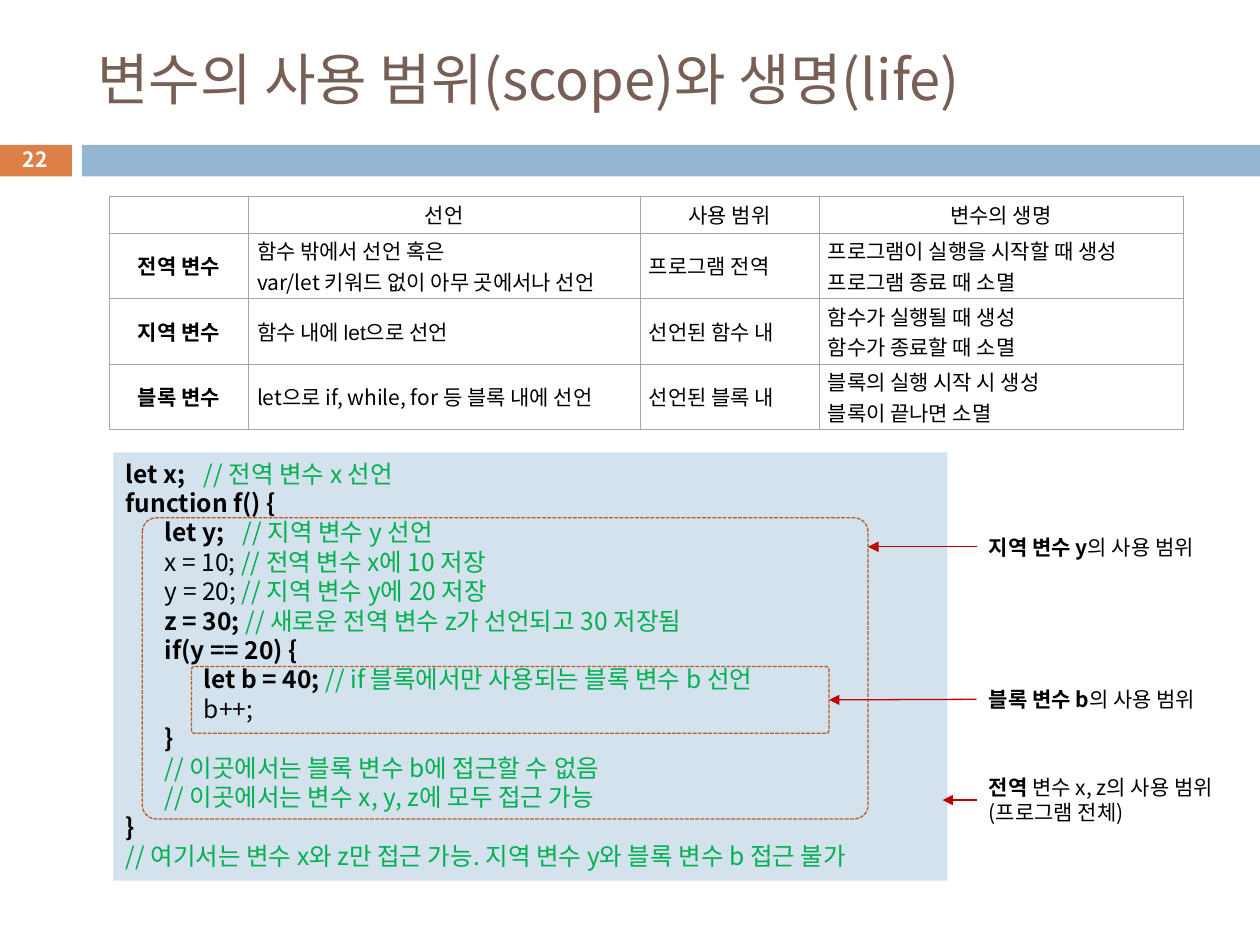
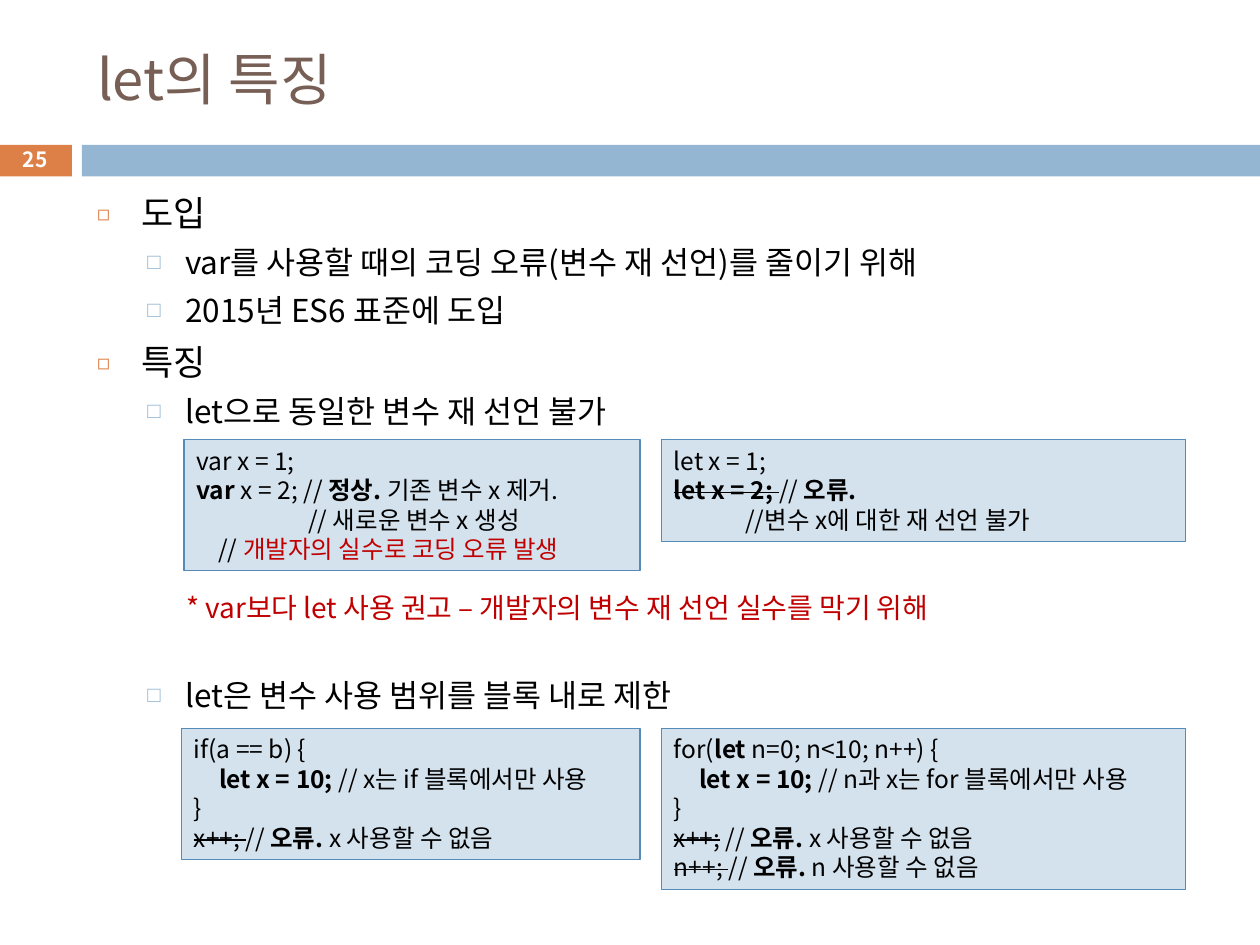
from dataclasses import dataclass
from typing import NamedTuple, Optional

from lxml import etree
from pptx import Presentation
from pptx.dml.color import RGBColor
from pptx.enum.dml import MSO_LINE
from pptx.enum.shapes import MSO_CONNECTOR, MSO_SHAPE
from pptx.enum.text import MSO_ANCHOR, MSO_AUTO_SIZE, PP_ALIGN
from pptx.oxml.ns import qn
from pptx.util import Inches, Pt

LEFT, CENTER = PP_ALIGN.LEFT, PP_ALIGN.CENTER
TOP, MIDDLE = MSO_ANCHOR.TOP, MSO_ANCHOR.MIDDLE
NO_AUTOFIT = MSO_AUTO_SIZE.NONE
RECTANGLE, ROUNDED = MSO_SHAPE.RECTANGLE, MSO_SHAPE.ROUNDED_RECTANGLE
STRAIGHT = MSO_CONNECTOR.STRAIGHT
SHORT_DASH = MSO_LINE.SQUARE_DOT
LEFT_SIDE, RIGHT_SIDE = 1, 3
TITLE_ONLY, TITLE_AND_CONTENT = 5, 1


@dataclass(frozen=True)
class Theme:
    font: str = "Noto Sans CJK KR"
    latin: str = "Arial"
    black: RGBColor = RGBColor(0, 0, 0)
    white: RGBColor = RGBColor(0xFF, 0xFF, 0xFF)
    title: RGBColor = RGBColor(0x77, 0x5F, 0x55)
    orange: RGBColor = RGBColor(0xDD, 0x80, 0x47)
    blue: RGBColor = RGBColor(0x94, 0xB6, 0xD2)
    code_fill: RGBColor = RGBColor(0xD4, 0xE2, 0xED)
    code_edge: RGBColor = RGBColor(0x55, 0x8B, 0xB8)
    comment: RGBColor = RGBColor(0, 0xB0, 0x50)
    scope: RGBColor = RGBColor(0xB9, 0x5B, 0x22)
    red: RGBColor = RGBColor(0xC0, 0, 0)
    grid: RGBColor = RGBColor(0xA6, 0xA6, 0xA6)
    title_size: float = 32
    topic_size: float = 20
    detail_size: float = 18
    remark_size: float = 16
    code_size: float = 14
    small_size: float = 12
    hairline: float = 0.75


THEME = Theme()


class Span(NamedTuple):
    text: str
    bold: bool = False
    color: Optional[RGBColor] = None
    strike: bool = False


class Area(NamedTuple):
    left: float
    top: float
    width: float
    height: float

    def lengths(self) -> list:
        return [Inches(value) for value in self]


class CodeBox(NamedTuple):
    area: Area
    lines: list
    tab: float
    edge: Optional[RGBColor] = None


class ScopeLabel(NamedTuple):
    area: Area
    lines: list
    arrow_end: float


class Bullet(NamedTuple):
    mark: str
    font: str
    color: RGBColor
    percent: int
    margin: float
    hang: float
    size: float
    before: float


TOPIC = Bullet("◻", THEME.font, THEME.orange, 60, 0.35, 0.35, THEME.topic_size, 7)
DETAIL = Bullet("□", THEME.latin, THEME.blue, 70, 0.7, 0.3, THEME.detail_size, 5.5)


def strong(text: str) -> Span:
    return Span(text, bold=True)


def comment(text: str) -> Span:
    return Span(text, color=THEME.comment)


def struck(text: str, bold: bool = False) -> Span:
    return Span(text, bold, strike=True)


def add_element(parent, tag: str, **attributes):
    return etree.SubElement(parent, qn(tag), attributes)


def write_paragraph(para, spans, size: float, color: RGBColor = THEME.black, bold: Optional[bool] = None,
                    align=LEFT, font: str = THEME.font) -> None:
    """Fill a paragraph with a string or a list of strings and spans."""
    para.alignment = align
    para.line_spacing = 1.0
    style = para.font
    style.name, style.size, style.bold = font, Pt(size), bold
    style.color.rgb = color
    add_element(para._p.pPr.find(qn("a:defRPr")), "a:ea", typeface=THEME.font)
    for item in [spans] if isinstance(spans, str) else spans:
        span = Span(item) if isinstance(item, str) else item
        run = para.add_run()
        run.text = span.text
        if span.bold:
            run.font.bold = True
        if span.color is not None:
            run.font.color.rgb = span.color
        if span.strike:
            run._r.get_or_add_rPr().set("strike", "sngStrike")


def paragraphs(frame, count: int) -> list:
    return [frame.paragraphs[0]] + [frame.add_paragraph() for _ in range(count - 1)]


def add_block(page, area: Area, fill: Optional[RGBColor] = None, edge: Optional[RGBColor] = None,
              kind=RECTANGLE):
    block = page.shapes.add_shape(kind, *area.lengths())
    block.shadow.inherit = False
    if fill is None:
        block.fill.background()
    else:
        block.fill.solid()
        block.fill.fore_color.rgb = fill
    if edge is None:
        block.line.fill.background()
    else:
        block.line.color.rgb = edge
        block.line.width = Pt(THEME.hairline)
    return block


def add_text(page, area: Area, lines: list, anchor=TOP, **style):
    box = page.shapes.add_textbox(*area.lengths())
    frame = box.text_frame
    frame.word_wrap = True
    frame.vertical_anchor = anchor
    for para, line in zip(paragraphs(frame, len(lines)), lines):
        write_paragraph(para, line, **style)
    return box


def add_page(deck, layout: int, title: str, number: int):
    page = deck.slides.add_slide(deck.slide_layouts[layout])
    add_block(page, Area(-0.01, 1.15, 0.58, 0.25), THEME.orange)
    add_block(page, Area(0.65, 1.15, 9.35, 0.25), THEME.blue)
    heading = page.shapes.title
    heading.left, heading.top, heading.width, heading.height = Area(0.67, 0.25, 8.92, 0.74).lengths()
    heading.text_frame.auto_size = NO_AUTOFIT
    heading.text_frame.vertical_anchor = MIDDLE
    write_paragraph(heading.text_frame.paragraphs[0], title, THEME.title_size, THEME.title)
    add_text(page, Area(-0.01, 1.13, 0.58, 0.27), [str(number)], MIDDLE,
             size=THEME.small_size, color=THEME.white, bold=True, align=CENTER)
    return page


def add_code(page, code: CodeBox) -> None:
    frame = add_block(page, code.area, THEME.code_fill, code.edge).text_frame
    frame.word_wrap = True
    frame.vertical_anchor = TOP
    for para, line in zip(paragraphs(frame, len(code.lines)), code.lines):
        tabs = add_element(para._p.get_or_add_pPr(), "a:tabLst")
        for stop in range(1, 6):
            add_element(tabs, "a:tab", pos=str(Inches(code.tab * stop)), algn="l")
        write_paragraph(para, line, THEME.code_size)


def add_scope(page, area: Area):
    outline = add_block(page, area, edge=THEME.scope, kind=ROUNDED)
    outline.adjustments[0] = 0.046
    outline.line.dash_style = SHORT_DASH
    return outline


def add_scope_label(page, label: ScopeLabel):
    """Add a label with an arrow from its left side; return the arrow."""
    box = add_text(page, label.area, label.lines, size=THEME.small_size)
    middle = Inches(label.area.top + label.area.height / 2)
    arrow = page.shapes.add_connector(STRAIGHT, Inches(label.area.left), middle,
                                      Inches(label.arrow_end), middle)
    arrow.begin_connect(box, LEFT_SIDE)
    arrow.line.color.rgb = THEME.red
    arrow.line.width = Pt(THEME.hairline)
    add_element(arrow.line._get_or_add_ln(), "a:tailEnd", type="triangle")
    add_element(arrow._element.spPr, "a:effectLst")
    return arrow


def style_cell(cell) -> None:
    cell.margin_left = cell.margin_right = Inches(0.07)
    cell.margin_top = cell.margin_bottom = Inches(0.02)
    cell.vertical_anchor = MIDDLE
    properties = cell._tc.get_or_add_tcPr()
    for side in ("a:lnL", "a:lnR", "a:lnT", "a:lnB"):
        line = add_element(properties, side, w=str(Pt(0.5)))
        add_element(add_element(line, "a:solidFill"), "a:srgbClr", val=str(THEME.grid))
    cell.fill.background()


def add_variable_table(page, rows: list, latin_cells: set) -> None:
    widths, heights = [1.1, 3.11, 1.42, 2.89], [0.29, 0.52, 0.52, 0.52]
    area = Area(0.87, 1.56, sum(widths), sum(heights))
    table = page.shapes.add_table(len(rows), len(widths), *area.lengths()).table
    table.first_row = table.horz_banding = False
    for column, width in zip(table.columns, widths):
        column.width = Inches(width)
    for row, height in zip(table.rows, heights):
        row.height = Inches(height)
    for r, row in enumerate(rows):
        for c, text in enumerate(row):
            cell = table.cell(r, c)
            style_cell(cell)
            lines = text.split("\n")
            is_name = r > 0 and c == 0
            font = THEME.latin if is_name or (r, c) in latin_cells else THEME.font
            for para, line in zip(paragraphs(cell.text_frame, len(lines)), lines):
                write_paragraph(para, line or [], THEME.small_size, bold=is_name,
                                align=CENTER if r == 0 or c == 0 else LEFT, font=font)
                if not line:
                    add_element(para._p, "a:endParaRPr", sz=str(int(THEME.small_size * 100)))


def add_bullets(page, items: list) -> None:
    """Fill the body placeholder from (bullet, text, extra space before) items."""
    body = page.placeholders[1]
    body.left, body.top, body.width, body.height = Area(0.67, 1.47, 8.92, 5.51).lengths()
    frame = body.text_frame
    frame.auto_size = NO_AUTOFIT
    for index, (para, item) in enumerate(zip(paragraphs(frame, len(items)), items)):
        bullet, text, gap = item
        para.level = 0 if bullet is TOPIC else 1
        properties = para._p.get_or_add_pPr()
        properties.set("marL", str(Inches(bullet.margin)))
        properties.set("indent", str(-Inches(bullet.hang)))
        add_element(add_element(properties, "a:buClr"), "a:srgbClr", val=str(bullet.color))
        add_element(properties, "a:buSzPct", val=str(bullet.percent * 1000))
        add_element(properties, "a:buFont", typeface=bullet.font)
        add_element(properties, "a:buChar", char=bullet.mark)
        para.space_before = Pt(bullet.before + gap if index else 0)
        write_paragraph(para, text, bullet.size)


def build_scope_page(deck) -> None:
    page = add_page(deck, TITLE_ONLY, "변수의 사용 범위(scope)와 생명(life)", 22)
    add_variable_table(page, [
        ["", "선언", "사용 범위", "변수의 생명"],
        ["전역 변수", "함수 밖에서 선언 혹은\nvar/let 키워드 없이 아무 곳에서나 선언", "프로그램 전역",
         "프로그램이 실행을 시작할 때 생성\n프로그램 종료 때 소멸"],
        ["지역 변수", "함수 내에 let으로 선언", "선언된 함수 내", "함수가 실행될 때 생성\n함수가 종료할 때 소멸"],
        ["블록 변수", "let으로 if, while, for 등 블록 내에 선언", "선언된 블록 내",
         "블록의 실행 시작 시 생성\n블록이 끝나면 소멸"],
    ], latin_cells={(2, 1), (2, 2)})
    add_code(page, CodeBox(Area(0.9, 3.59, 6.62, 3.4), [
        [strong("let x; \t"), comment("// 전역 변수 x 선언")],
        [strong("function f() {")],
        [strong("\tlet y; \t"), comment("// 지역 변수 y 선언")],
        ["\tx = 10; ", comment("// 전역 변수 x에 10 저장")],
        ["\ty = 20; ", comment("// 지역 변수 y에 20 저장")],
        [strong("\tz = 30; "), comment("// 새로운 전역 변수 z가 선언되고 30 저장됨")],
        [strong("\tif(y == 20) {")],
        [strong("\t\tlet b = 40; "), comment("// if 블록에서만 사용되는 블록 변수 b 선언")],
        "\t\tb++;",
        [strong("\t}")],
        [comment("\t// 이곳에서는 블록 변수 b에 접근할 수 없음")],
        [comment("\t// 이곳에서는 변수 x, y, z에 모두 접근 가능")],
        [strong("}")],
        [comment("// 여기서는 변수 x와 z만 접근 가능. 지역 변수 y와 블록 변수 b 접근 불가")],
    ], tab=0.31))
    add_scope(page, Area(1.13, 4.11, 5.76, 2.39))
    block_scope = add_scope(page, Area(1.52, 5.29, 5.06, 0.53))
    add_scope_label(page, ScopeLabel(Area(7.75, 6.1, 2.21, 0.5), [
        [strong("전역 "), "변수 x, z의 사용 범위"], "(프로그램 전체)"], 7.48))
    block_arrow = add_scope_label(page, ScopeLabel(
        Area(7.75, 5.4, 2.06, 0.3), [[strong("블록 변수 b"), "의 사용 범위"]], 6.58))
    block_arrow.end_connect(block_scope, RIGHT_SIDE)
    add_scope_label(page, ScopeLabel(
        Area(7.75, 4.19, 2.11, 0.3), [[strong("지역 변수 y"), "의 사용 범위"]], 6.89))


def build_let_page(deck) -> None:
    page = add_page(deck, TITLE_AND_CONTENT, "let의 특징", 25)
    add_bullets(page, [
        (TOPIC, "도입", 0),
        (DETAIL, "var를 사용할 때의 코딩 오류(변수 재 선언)를 줄이기 위해", 0),
        (DETAIL, "2015년 ES6 표준에 도입", 0),
        (TOPIC, "특징", 0),
        (DETAIL, "let으로 동일한 변수 재 선언 불가", 0),
        (DETAIL, "let은 변수 사용 범위를 블록 내로 제한", 135),
    ])
    examples = [
        (Area(1.46, 3.49, 3.62, 1.04), [
            "var x = 1;",
            [strong("var"), " x = 2; // ", strong("정상. "), "기존 변수 x 제거."],
            "\t\t\t\t  // 새로운 변수 x 생성",
            ["    // ", Span("개발자의 실수로 코딩 오류 발생", color=THEME.red)]]),
        (Area(5.25, 3.49, 4.16, 0.81), [
            "let x = 1;",
            [struck("let x = 2; ", bold=True), "// ", strong("오류.")],
            "             //변수 x에 대한 재 선언 불가"]),
        (Area(1.44, 5.78, 3.64, 1.04), [
            "if(a == b) {",
            [strong("\tlet x = 10; "), "// x는 if 블록에서만 사용"],
            "}",
            [struck("x++; "), "// ", strong("오류. "), "x 사용할 수 없음"]]),
        (Area(5.25, 5.78, 4.16, 1.28), [
            ["for(", strong("let"), " n=0; n<10; n++) {"],
            [strong("\tlet x = 10; "), "// n과 x는 for 블록에서만 사용"],
            "}",
            [struck("x++;"), " // ", strong("오류. "), "x 사용할 수 없음"],
            [struck("n++; "), "// ", strong("오류. "), "n 사용할 수 없음"]]),
    ]
    for area, lines in examples:
        add_code(page, CodeBox(area, lines, tab=0.2, edge=THEME.code_edge))
    add_text(page, Area(1.38, 4.64, 6.85, 0.37),
             ["* var보다 let 사용 권고 – 개발자의 변수 재 선언 실수를 막기 위해"],
             size=THEME.remark_size, color=THEME.red)


def main() -> None:
    deck = Presentation()
    deck.slide_width, deck.slide_height = Inches(10), Inches(7.5)
    build_scope_page(deck)
    build_let_page(deck)
    deck.save("out.pptx")


if __name__ == "__main__":
    main()
